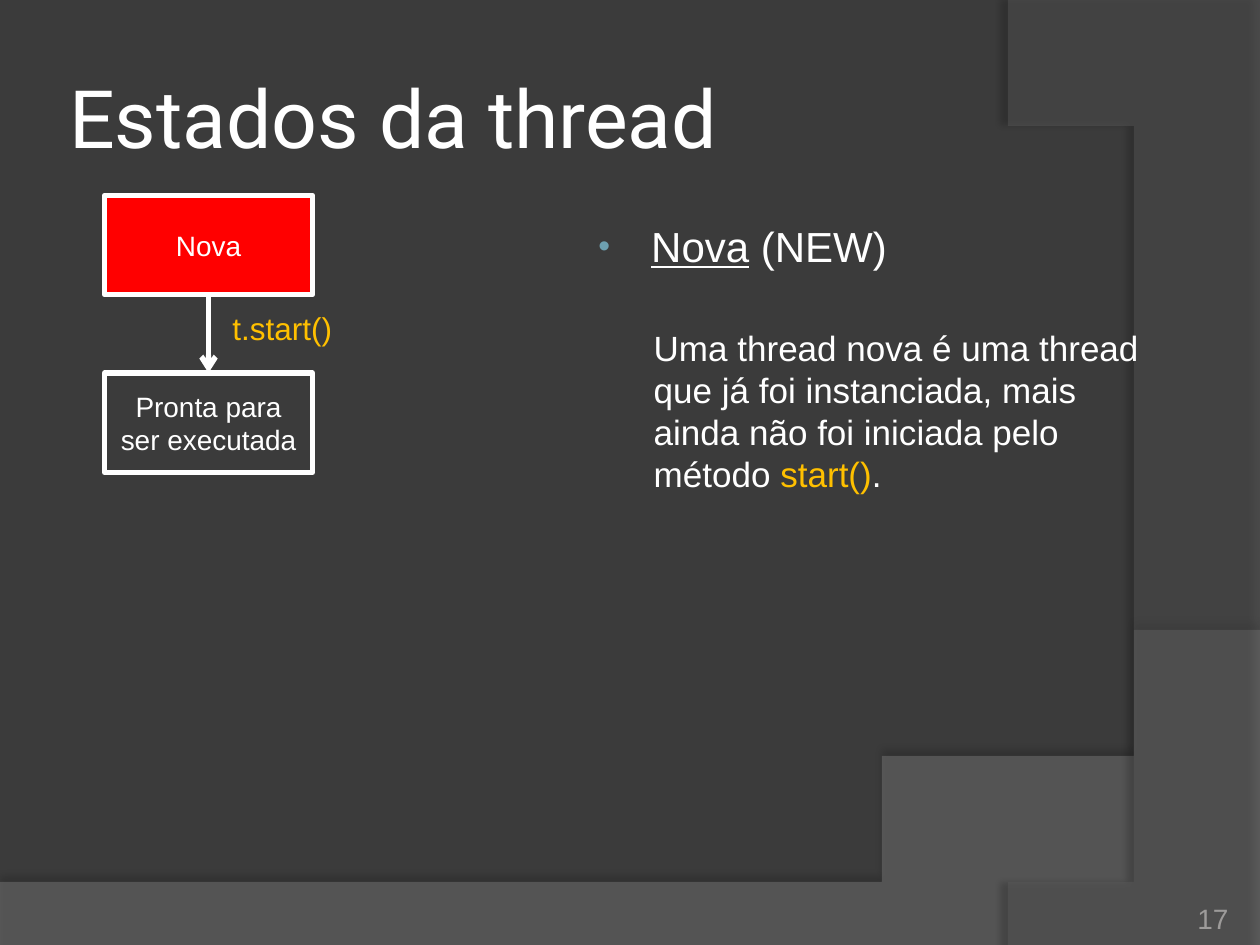
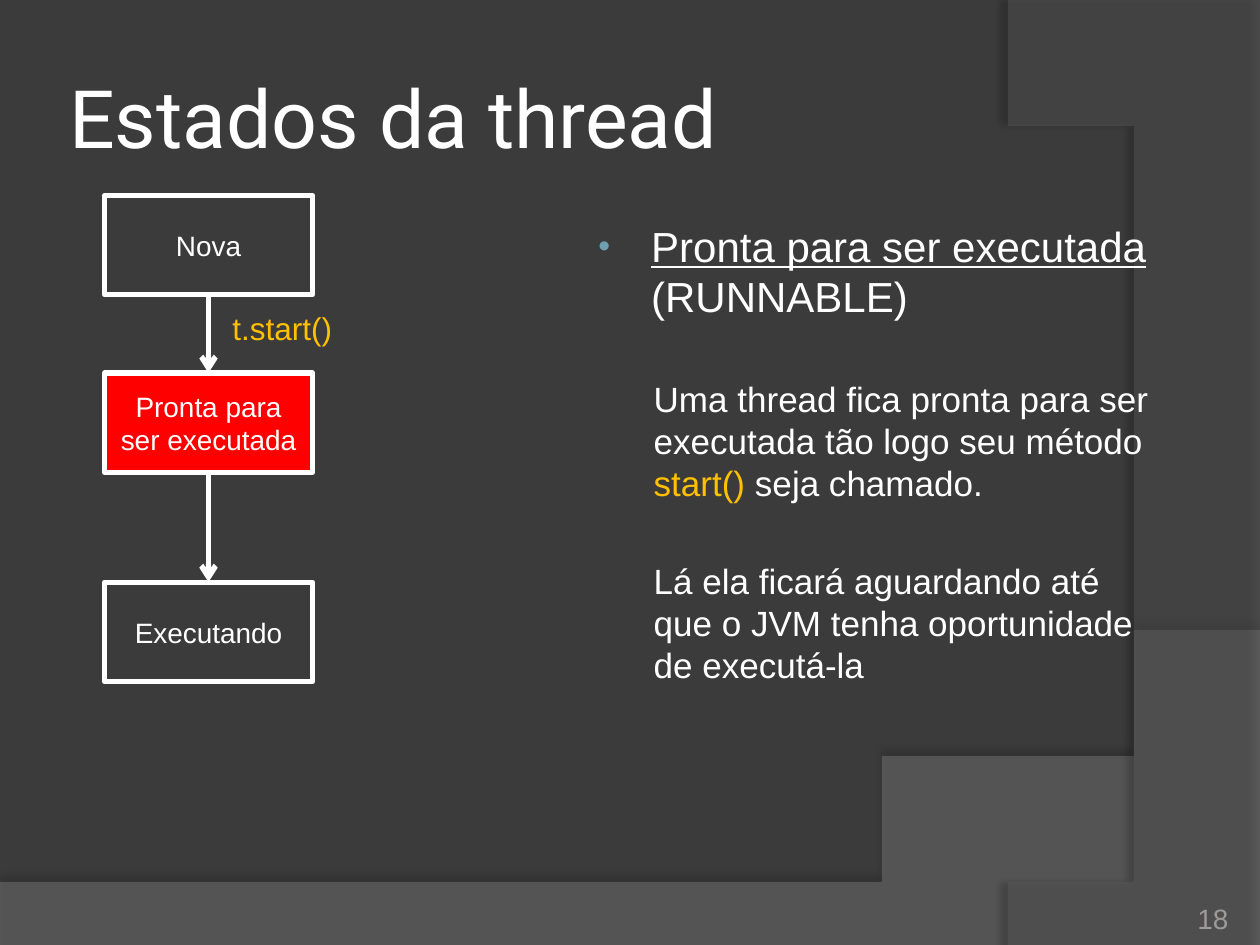
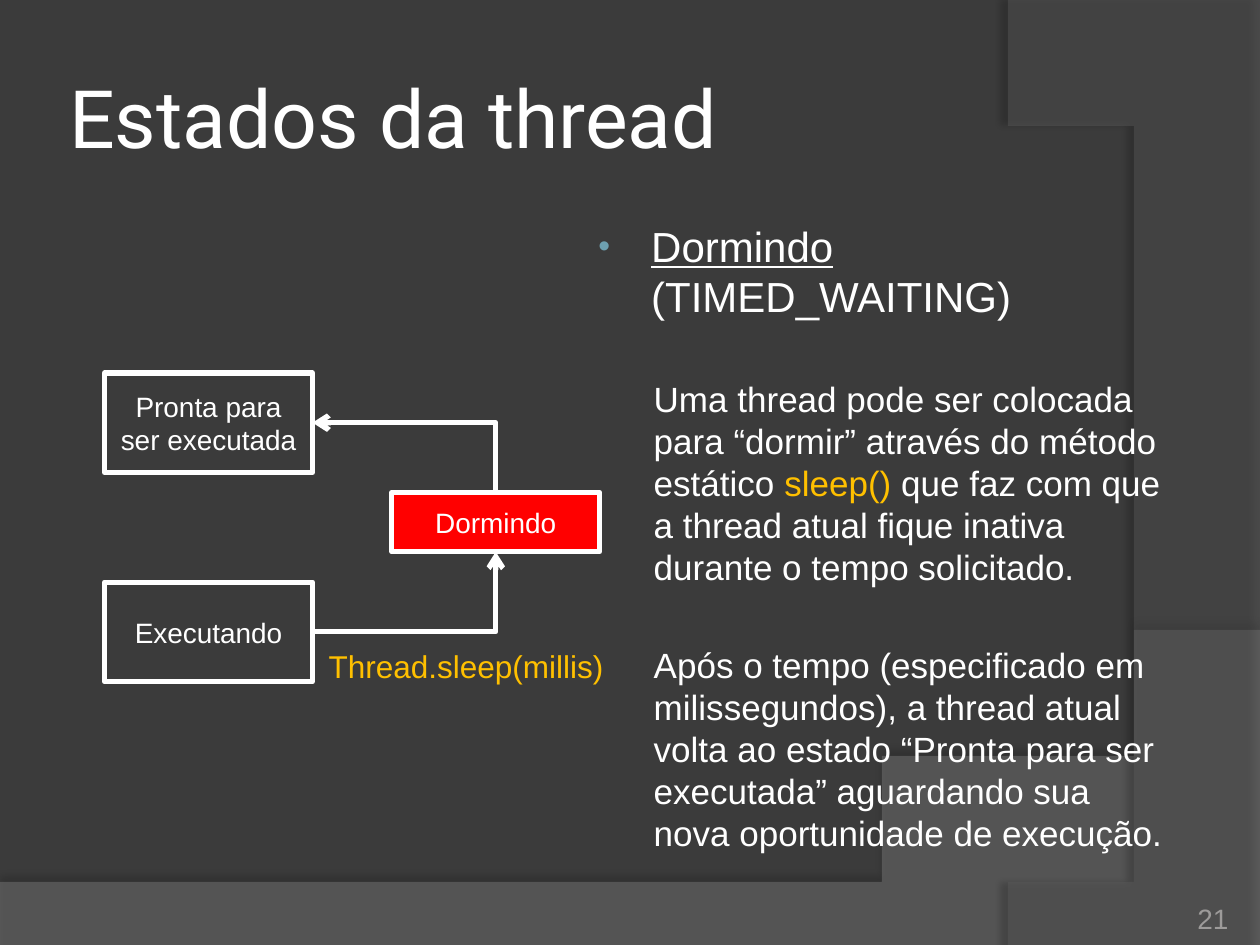
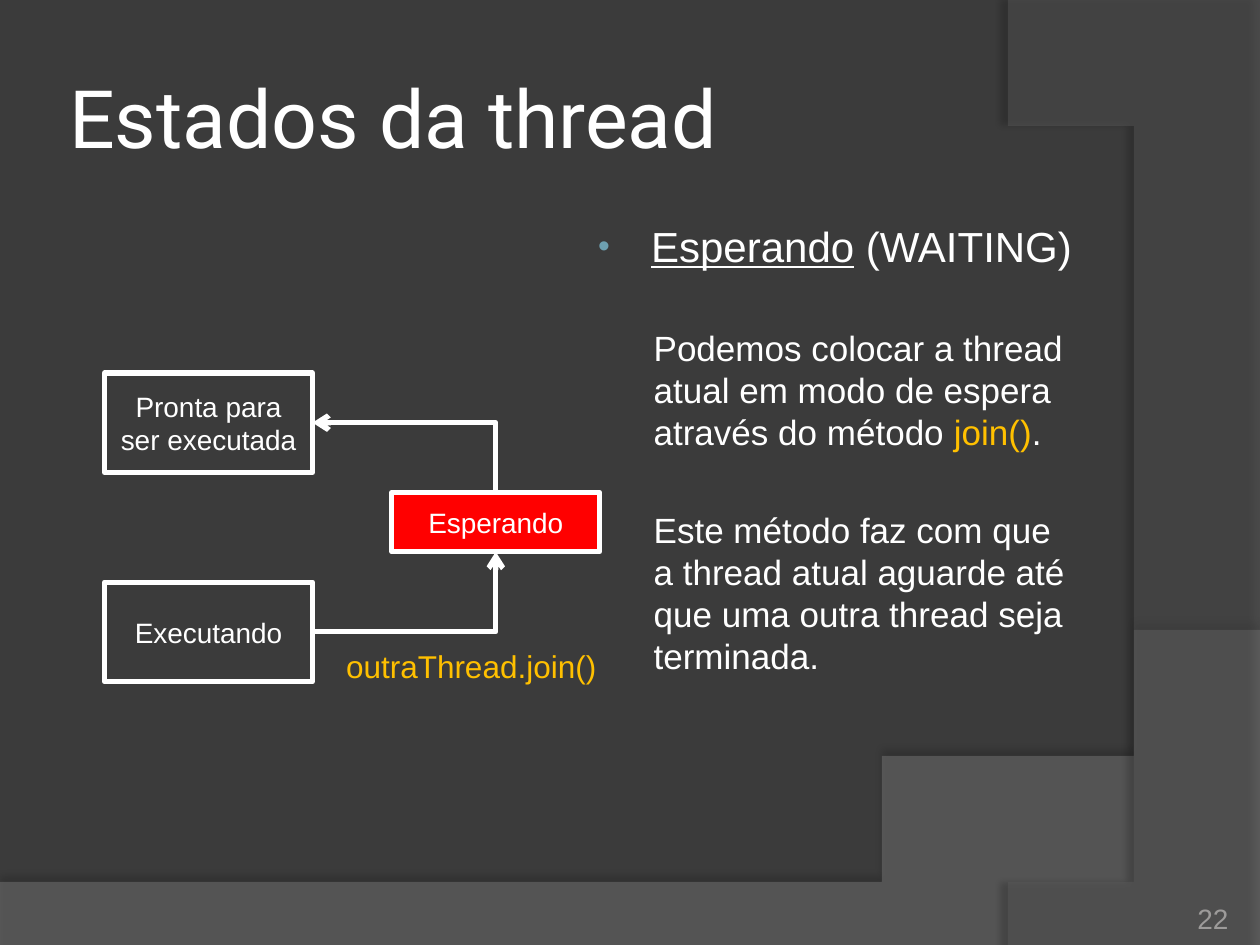
from lxml import etree
from pptx import Presentation
from pptx.dml.color import RGBColor
from pptx.enum.shapes import MSO_CONNECTOR, MSO_SHAPE
from pptx.enum.text import MSO_ANCHOR, PP_ALIGN
from pptx.oxml.ns import qn
from pptx.util import Inches, Pt

RECT = MSO_SHAPE.RECTANGLE
STRAIGHT, ELBOW = MSO_CONNECTOR.STRAIGHT, MSO_CONNECTOR.ELBOW
MIDDLE, BOTTOM, TOP = MSO_ANCHOR.MIDDLE, MSO_ANCHOR.BOTTOM, MSO_ANCHOR.TOP
LEFT, CENTER, RIGHT = PP_ALIGN.LEFT, PP_ALIGN.CENTER, PP_ALIGN.RIGHT

DARK = RGBColor(0x3B, 0x3B, 0x3B)
WHITE = RGBColor(0xFF, 0xFF, 0xFF)
RED = RGBColor(0xFF, 0x00, 0x00)
AMBER = RGBColor(0xFF, 0xC0, 0x00)
MUTED = RGBColor(0x9D, 0x9B, 0x9A)
WAVE = RGBColor(0x7F, 0x7F, 0x7F)
ARC = RGBColor(0x5E, 0x5E, 0x5E)
BULLET = "6EA0B0"

FONT, HEAD = "Arial", "Roboto"
TITLE = "Estados da thread"

# State boxes: left, top, width, height in inches
NEW = (0.83, 1.55, 1.65, 0.79)
READY = (0.83, 2.96, 1.65, 0.79)
RUN = (0.83, 4.62, 1.65, 0.79)
PAUSE = (3.11, 3.91, 1.65, 0.47)
READY_TEXT = "Pronta para\nser executada"


def add_node(parent, tag, **attrs):
    """Append a DrawingML child element and return it."""
    return etree.SubElement(parent, qn("a:" + tag), attrs)


def style(run, size, color=WHITE, font=FONT):
    """Set size, colour and font of a run."""
    run.font.size = Pt(size)
    run.font.name = font
    run.font.color.rgb = color


def write(frame, text, size, color=WHITE, font=FONT, align=CENTER):
    """Fill a text frame with one uniform style."""
    frame.word_wrap = True
    frame.text = text
    for para in frame.paragraphs:
        para.alignment = align
        for run in para.runs:
            style(run, size, color, font)


def add_text(slide, box, anchor=MIDDLE, inset=None):
    """Add a text box and return its frame."""
    frame = slide.shapes.add_textbox(*map(Inches, box)).text_frame
    frame.word_wrap = True
    frame.vertical_anchor = anchor
    if inset is not None:
        frame.margin_left = frame.margin_right = Inches(inset)
        frame.margin_top = frame.margin_bottom = Inches(inset)
    return frame


def curve(start, ctrl1, ctrl2, end, steps=40):
    """Return points along a cubic curve, without its start."""
    points = []
    for i in range(1, steps + 1):
        t = i / steps
        s = 1 - t
        points.append(tuple(
            s**3 * a + 3 * s * s * t * b + 3 * s * t * t * c + t**3 * d
            for a, b, c, d in zip(start, ctrl1, ctrl2, end)))
    return points


def add_band(slide, points, color, alpha, shade, dist, angle):
    """Draw a translucent band with a soft shadow."""
    pen = slide.shapes.build_freeform(
        *points[0], scale=Inches(1))
    pen.add_line_segments(points[1:], close=True)
    band = pen.convert_to_shape()
    band.fill.solid()
    band.fill.fore_color.rgb = color
    band.line.fill.background()
    band.shadow.inherit = False
    props = band.element.spPr
    tint = props.find(qn("a:solidFill")).find(qn("a:srgbClr"))
    add_node(tint, "alpha", val=str(alpha * 1000))
    glow = add_node(props.find(qn("a:effectLst")), "outerShdw",
                    blurRad=str(Pt(4)), dist=str(Pt(dist)),
                    dir=str(angle * 60000), rotWithShape="0")
    black = add_node(glow, "srgbClr", val="000000")
    add_node(black, "alpha", val=str(shade * 1000))


def add_base(prs, number):
    """Add a slide with the shared bands, title and number."""
    slide = prs.slides.add_slide(prs.slide_layouts[6])
    wave = [(0, 7.05), (0, 7.5), (10, 7.5), (10, 5.2)]
    wave += curve((10, 5.2), (5.59, 7.29), (3.91, 7.19), (0, 7.05))
    add_band(slide, wave, WAVE, 45, 35, 3.5, 270)
    arc = [(10, 0.02), (10, 7.5), (8.21, 7.5)]
    arc += curve((8.21, 7.5), (9.35, 6.19), (10.18, 3), (8, 0))
    add_band(slide, arc, ARC, 40, 45, 4, 180)
    title = add_text(slide, (0.5, 0.3, 8.17, 1.25), inset=0.05)
    write(title, TITLE, 46, font=HEAD, align=LEFT)
    foot = add_text(slide, (8.92, 7.02, 0.83, 0.4), BOTTOM, 0)
    write(foot, str(number), 16, MUTED, align=RIGHT)
    return slide


def add_body(slide, state, code, paras, width=4.72):
    """Add the bulleted state name and its explanation.

    In each paragraph every second part is code.
    """
    frame = add_text(slide, (4.61, 1.7, width, 5.12), TOP)
    head = frame.paragraphs[0]
    head.space_before = Pt(3)
    for text, under in ((state, True), (f" ({code})", False)):
        run = head.add_run()
        run.text = text
        style(run, 24)
        run.font.underline = under
    props = head._p.get_or_add_pPr()
    props.set("marL", str(Inches(0.46)))
    props.set("indent", str(Inches(-0.42)))
    add_node(add_node(props, "buClr"), "srgbClr", val=BULLET)
    add_node(props, "buSzPct", val="80000")
    add_node(props, "buFont", typeface=FONT)
    add_node(props, "buChar", char="•")
    for parts in paras:
        para = frame.add_paragraph()
        para.space_before = Pt(32)
        props = para._p.get_or_add_pPr()
        props.set("marL", str(Inches(0.48)))
        props.set("indent", "0")
        for i, text in enumerate(parts):
            run = para.add_run()
            run.text = text
            style(run, 20, AMBER if i % 2 else WHITE)


def add_state(slide, box, text, active=False):
    """Draw a state box, red when active."""
    shape = slide.shapes.add_shape(RECT, *map(Inches, box))
    shape.shadow.inherit = False
    if active:
        shape.fill.solid()
        shape.fill.fore_color.rgb = RED
    else:
        shape.fill.background()
    shape.line.color.rgb = WHITE
    shape.line.width = Pt(3)
    shape.text_frame.vertical_anchor = MIDDLE
    write(shape.text_frame, text, 16)


def add_arrow(slide, start, end, kind=STRAIGHT):
    """Draw a white arrow from start to end."""
    line = slide.shapes.add_connector(
        kind, *map(Inches, (*start, *end)))
    line.line.color.rgb = WHITE
    line.line.width = Pt(3)
    props = line.element.spPr
    add_node(props.find(qn("a:ln")), "tailEnd", type="arrow")
    add_node(props, "effectLst")
    return line


def add_bend(slide, start, end, turn=False):
    """Draw a one-corner arrow; turn makes it leave upwards."""
    if turn:
        mid_x, mid_y = (start[0] + end[0]) / 2, (start[1] + end[1]) / 2
        half_w = abs(start[1] - end[1]) / 2
        half_h = abs(start[0] - end[0]) / 2
        start = (mid_x - half_w, mid_y + half_h)
        end = (mid_x + half_w, mid_y - half_h)
    props = add_arrow(slide, start, end, ELBOW).element.spPr
    props.find(qn("a:prstGeom")).set("prst", "bentConnector2")
    if turn:
        props.find(qn("a:xfrm")).set("rot", str(270 * 60000))


def add_drop(slide, upper, lower):
    """Join two stacked boxes with a downward arrow."""
    x = upper[0] + upper[2] / 2
    add_arrow(slide, (x, upper[1] + upper[3]), (x, lower[1]))


def add_call(slide, box, text):
    """Label an arrow with a method call."""
    write(add_text(slide, box), text, 18, AMBER)


def add_start(slide, active):
    """Draw the new and ready states joined by start()."""
    add_state(slide, READY, READY_TEXT, active == READY)
    add_drop(slide, NEW, READY)
    add_state(slide, NEW, "Nova", active == NEW)
    add_call(slide, (1.69, 2.41, 1.1, 0.39), "t.start()")


def add_pause(slide, state, call, left, width):
    """Draw the loop from running through a pause to ready."""
    add_state(slide, RUN, "Executando")
    add_state(slide, READY, READY_TEXT)
    add_state(slide, PAUSE, state, True)
    side = READY[0] + READY[2]
    mid = PAUSE[0] + PAUSE[2] / 2
    add_bend(slide, (side, RUN[1] + RUN[3] / 2),
             (mid, PAUSE[1] + PAUSE[3]))
    add_bend(slide, (mid, PAUSE[1]),
             (side, READY[1] + READY[3] / 2), turn=True)
    add_call(slide, (left, 5.09, width, 0.39), call)


def main():
    """Build the four slides."""
    prs = Presentation()
    prs.slide_width, prs.slide_height = Inches(10), Inches(7.5)
    back = prs.slide_master.background.fill
    back.solid()
    back.fore_color.rgb = DARK

    slide = add_base(prs, 17)
    add_body(slide, "Nova", "NEW", [
        ("Uma thread nova é uma thread que já foi instanciada, mais "
         "ainda não foi iniciada pelo método ", "start()", ".")])
    add_start(slide, NEW)

    slide = add_base(prs, 18)
    add_body(slide, "Pronta para ser executada", "RUNNABLE", [
        ("Uma thread fica pronta para ser executada tão logo seu "
         "método ", "start()", " seja chamado."),
        ("Lá ela ficará aguardando até que o JVM tenha oportunidade "
         "de executá-la",)])
    add_state(slide, RUN, "Executando")
    add_drop(slide, READY, RUN)
    add_start(slide, READY)

    slide = add_base(prs, 21)
    add_body(slide, "Dormindo", "TIMED_WAITING", [
        ("Uma thread pode ser colocada para “dormir” através do "
         "método estático ", "sleep()", " que faz com que a thread "
         "atual fique inativa durante o tempo solicitado."),
        ("Após o tempo (especificado em milissegundos), a thread "
         "atual volta ao estado “Pronta para ser executada” "
         "aguardando sua nova oportunidade de execução.",)])
    add_pause(slide, "Dormindo", "Thread.sleep(millis)", 2.48, 2.44)

    slide = add_base(prs, 22)
    add_body(slide, "Esperando", "WAITING", [
        ("Podemos colocar a thread atual em modo de espera através "
         "do método ", "join()", "."),
        ("Este método faz com que a thread atual aguarde até que "
         "uma outra thread seja terminada.",)], width=4.06)
    add_pause(slide, "Esperando", "outraThread.join()", 2.64, 2.2)

    prs.save("out.pptx")


main()
